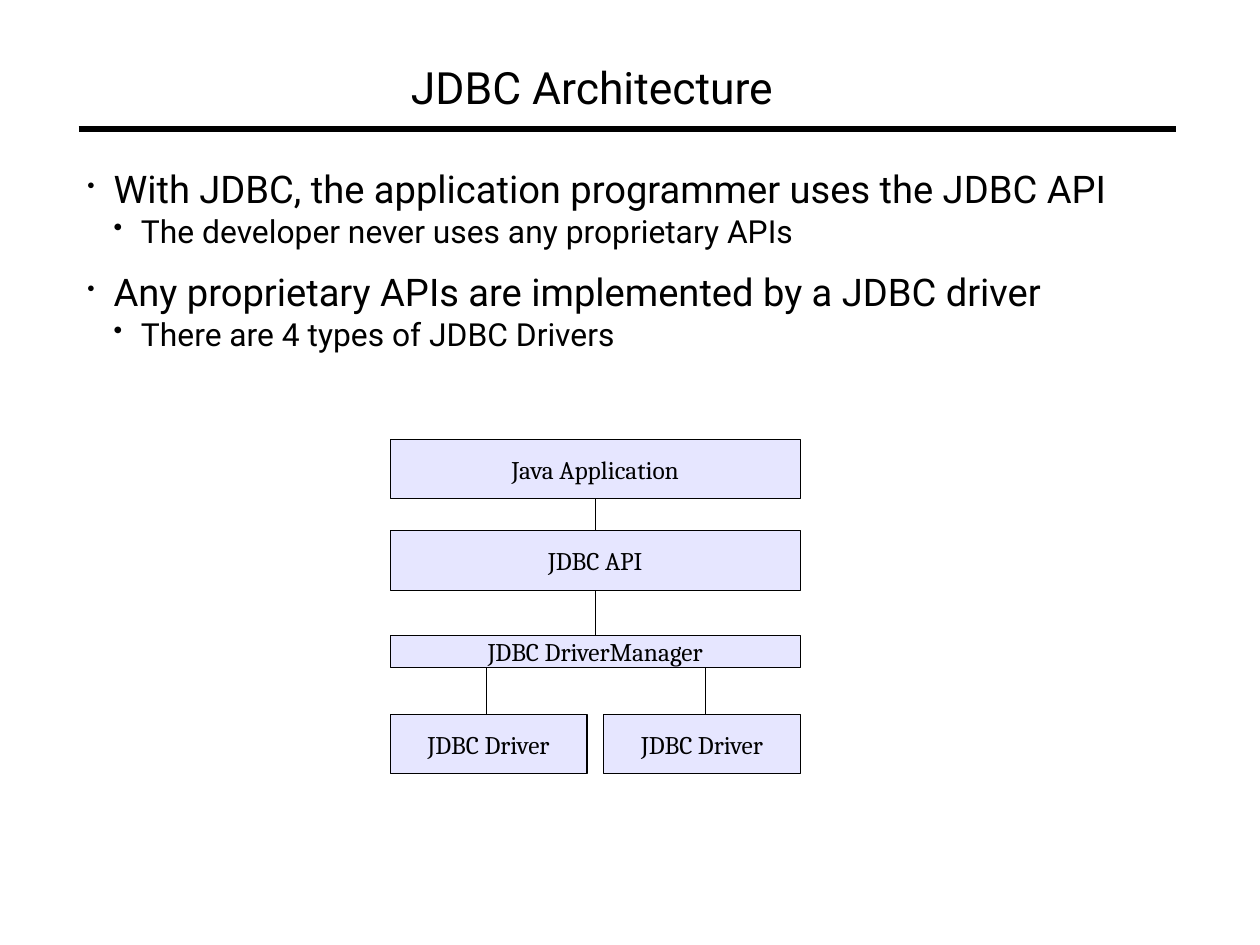
import pptx
import pptx.dml.color
import pptx.enum.shapes
import pptx.enum.text
import pptx.oxml
import pptx.oxml.ns
import pptx.util

BLACK = pptx.dml.color.RGBColor(0x00, 0x00, 0x00)
LAVENDER = pptx.dml.color.RGBColor(0xE6, 0xE6, 0xFF)

SLIDE_WIDTH = pptx.util.Cm(28)
SLIDE_HEIGHT = pptx.util.Cm(21)

# Positions and sizes are percentages of the slide's width and height.
DIAGRAM_LEFT, DIAGRAM_WIDTH = 30.97, 32.55
DIAGRAM_CENTRE = DIAGRAM_LEFT + DIAGRAM_WIDTH / 2
BOX_HEIGHT, MANAGER_HEIGHT = 6.29, 3.39
APPLICATION_TOP, API_TOP, MANAGER_TOP, DRIVER_TOP = 46.5, 56.18, 67.25, 75.6
DRIVER_WIDTH = 15.61
DRIVER_LEFTS = (DIAGRAM_LEFT, DIAGRAM_LEFT + DIAGRAM_WIDTH - DRIVER_WIDTH)
DRIVER_LINES = (38.62, 55.97)

LAYERS = (
    ("Java Application", APPLICATION_TOP, BOX_HEIGHT),
    ("JDBC API", API_TOP, BOX_HEIGHT),
    ("JDBC DriverManager", MANAGER_TOP, MANAGER_HEIGHT),
)

# Text, level, space before in points
BULLETS = (
    ("With JDBC, the application programmer uses the JDBC API", 0, 0),
    ("The developer never uses any proprietary APIs", 1, 0),
    ("Any proprietary APIs are implemented by a JDBC driver", 0, 12),
    ("There are 4 types of JDBC Drivers", 1, 0),
)
# Size in points, left indent and hanging indent in inches, bullet size in percent
BULLET_LEVELS = ((24, 0.23, 0.23, 57), (20, 0.47, 0.24, 81))


def across(percent):
    return round(SLIDE_WIDTH * percent / 100)


def down(percent):
    return round(SLIDE_HEIGHT * percent / 100)


def place(left, top, width, height):
    return across(left), down(top), across(width), down(height)


def set_attributes(target, values):
    for name, value in values.items():
        setattr(target, name, value)


def write(paragraph, text, size, font):
    run = paragraph.add_run()
    run.text = text
    set_attributes(run.font, {"size": pptx.util.Pt(size), "name": font})
    run.font.color.rgb = BLACK


def prepare_frame(shape, anchor):
    """Removes the margins, wraps the text and returns the text frame."""
    frame = shape.text_frame
    set_attributes(frame, {
        "margin_left": 0, "margin_right": 0, "margin_top": 0,
        "margin_bottom": 0, "word_wrap": True, "vertical_anchor": anchor,
    })
    return frame


def add_text_frame(slide, *area):
    shape = slide.shapes.add_textbox(*place(*area))
    return prepare_frame(shape, pptx.enum.text.MSO_ANCHOR.TOP)


def add_line(slide, start, end, weight=0.75):
    line = slide.shapes.add_connector(
        pptx.enum.shapes.MSO_CONNECTOR.STRAIGHT,
        across(start[0]), down(start[1]), across(end[0]), down(end[1]))
    line.line.color.rgb = BLACK
    line.line.width = pptx.util.Pt(weight)
    properties = line._element.find(pptx.oxml.ns.qn("p:spPr"))
    properties.append(pptx.oxml.parse_xml(
        f'<a:effectLst {pptx.oxml.ns.nsdecls("a")}/>'))


def add_box(slide, text, *area):
    box = slide.shapes.add_shape(
        pptx.enum.shapes.MSO_SHAPE.ROUNDED_RECTANGLE, *place(*area))
    box.adjustments[0] = 0
    box.shadow.inherit = False
    box.fill.solid()
    box.fill.fore_color.rgb = LAVENDER
    box.line.color.rgb = BLACK
    box.line.width = pptx.util.Pt(0.75)
    frame = prepare_frame(box, pptx.enum.text.MSO_ANCHOR.MIDDLE)
    paragraph = frame.paragraphs[0]
    paragraph.alignment = pptx.enum.text.PP_ALIGN.CENTER
    write(paragraph, text, 16, "Cambria")


def format_bullet(paragraph, indent, hanging, percent):
    properties = paragraph._p.get_or_add_pPr()
    properties.set("marL", str(pptx.util.Inches(indent)))
    properties.set("indent", str(-pptx.util.Inches(hanging)))
    for element in (
        f'<a:buClr {{}}><a:srgbClr val="{BLACK}"/></a:buClr>',
        f'<a:buSzPct {{}} val="{percent * 1000}"/>',
        '<a:buChar {} char="•"/>',
    ):
        properties.append(pptx.oxml.parse_xml(
            element.format(pptx.oxml.ns.nsdecls("a"))))


def add_bullets(slide):
    frame = add_text_frame(slide, 6.93, 17.53, 86, 19.71)
    for index, (text, level, space) in enumerate(BULLETS):
        paragraph = frame.add_paragraph() if index else frame.paragraphs[0]
        size, indent, hanging, percent = BULLET_LEVELS[level]
        set_attributes(paragraph, {
            "level": level, "space_before": pptx.util.Pt(space)})
        format_bullet(paragraph, indent, hanging, percent)
        write(paragraph, text, size, "Roboto")


def add_title(slide):
    frame = add_text_frame(slide, 32.62, 6.35, 51.8, 5.44)
    write(frame.paragraphs[0], "JDBC Architecture", 28, "Roboto")
    add_line(slide, (6.24, 13.66), (93.33, 13.66), 4.31)


def add_diagram(slide):
    add_line(slide, (DIAGRAM_CENTRE, APPLICATION_TOP + BOX_HEIGHT),
             (DIAGRAM_CENTRE, MANAGER_TOP))
    for x in DRIVER_LINES:
        add_line(slide, (x, MANAGER_TOP + MANAGER_HEIGHT), (x, DRIVER_TOP))
    for text, top, height in LAYERS:
        add_box(slide, text, DIAGRAM_LEFT, top, DIAGRAM_WIDTH, height)
    for left in DRIVER_LEFTS:
        add_box(slide, "JDBC Driver", left, DRIVER_TOP, DRIVER_WIDTH, BOX_HEIGHT)


def main():
    presentation = pptx.Presentation()
    set_attributes(presentation, {
        "slide_width": SLIDE_WIDTH, "slide_height": SLIDE_HEIGHT})
    slide = presentation.slides.add_slide(presentation.slide_layouts[6])
    add_title(slide)
    add_bullets(slide)
    add_diagram(slide)
    presentation.save("out.pptx")


if __name__ == "__main__":
    main()
